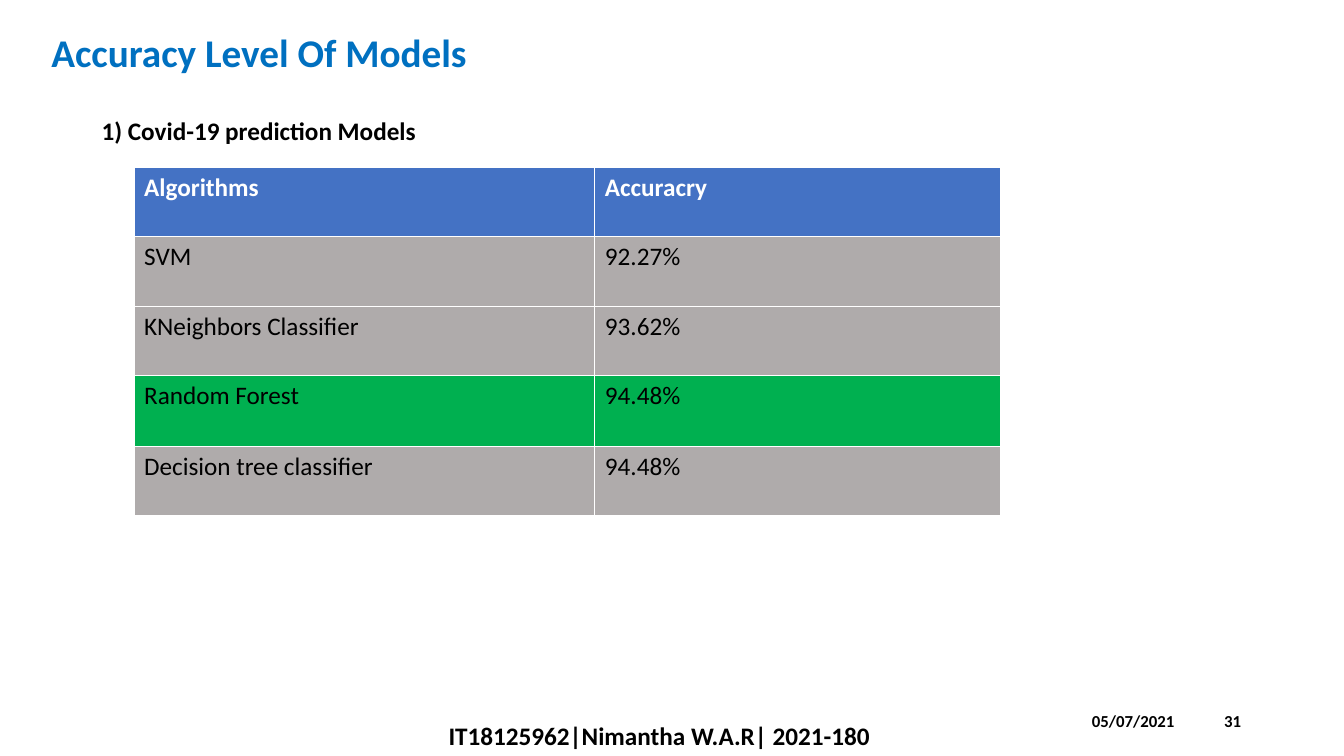
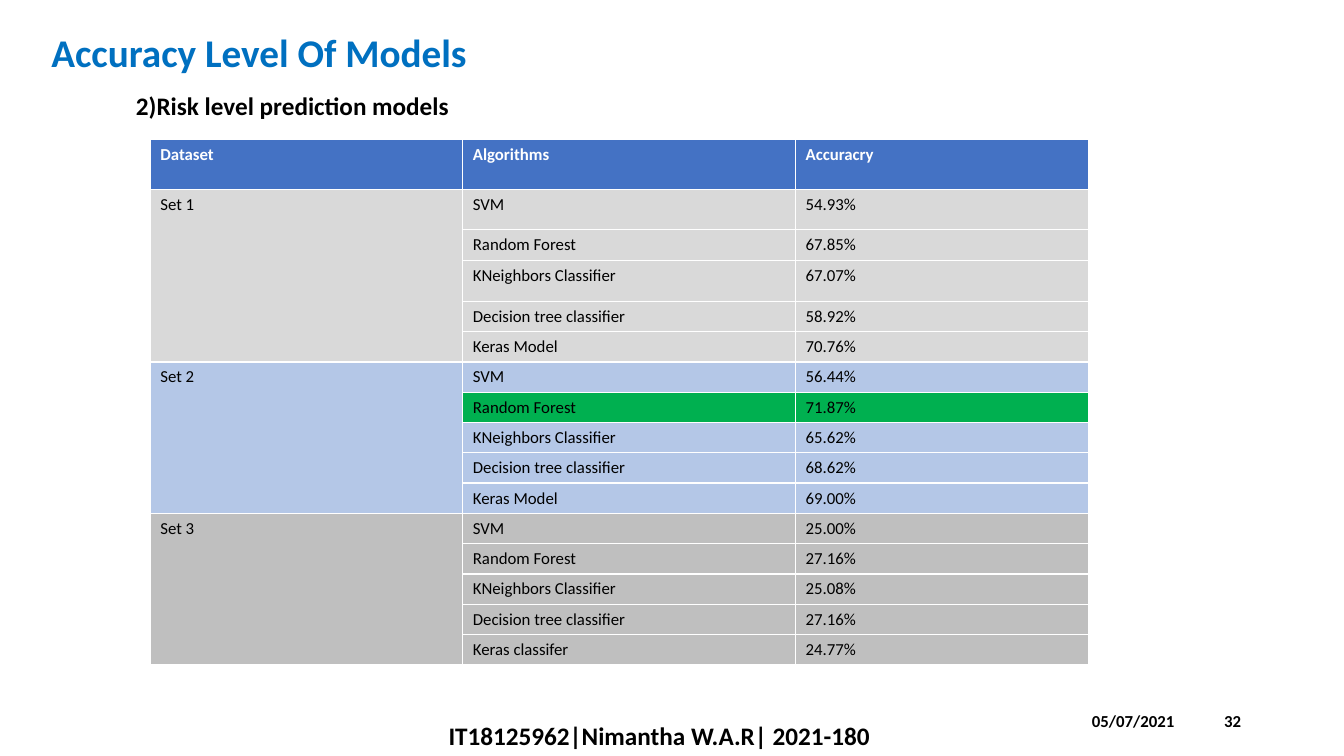
from dataclasses import dataclass

from lxml.etree import SubElement
from pptx import Presentation
from pptx.dml.color import RGBColor
from pptx.enum.text import MSO_ANCHOR, MSO_AUTO_SIZE, PP_ALIGN
from pptx.oxml.ns import qn
from pptx.util import Inches, Pt

# Shared colours and text formats
BLACK = RGBColor(0x00, 0x00, 0x00)
WHITE = RGBColor(0xFF, 0xFF, 0xFF)
TITLE = RGBColor(0x00, 0x70, 0xC0)
HEAD = RGBColor(0x44, 0x72, 0xC4)
BEST = RGBColor(0x00, 0xB0, 0x50)
STONE = RGBColor(0xAF, 0xAB, 0xAB)
PALE = RGBColor(0xD9, 0xD9, 0xD9)
SKY = RGBColor(0xB4, 0xC7, 0xE7)
GREY = RGBColor(0xBF, 0xBF, 0xBF)

HEADING = {"name": "Calibri", "size": Pt(28), "bold": True}
LABEL = {"name": "Calibri", "size": Pt(18), "bold": True}
SMALL = {"name": "Calibri", "size": Pt(12), "bold": True}


@dataclass
class Box:
    left: float
    top: float
    width: float
    height: float

    def place(self) -> tuple:
        return tuple(map(Inches, (self.left, self.top, self.width, self.height)))


@dataclass
class Group:
    """Rows that share a fill; a named group has a merged first cell."""
    name: str
    fill: RGBColor
    rows: list[tuple[str, str]]
    best: str = ""


@dataclass
class Page:
    number: int
    label: str
    label_box: Box
    grid_box: Box
    size: int
    cols: list[float]
    heights: list[float]
    heads: list[str]
    groups: list[Group]


PAGES = [
    Page(31, "1) Covid-19 prediction Models",
         Box(0.91, 1.09, 4.4, 0.4), Box(1.33, 1.66, 8.59, 3.47), 18,
         [4.57, 4.02], [0.69, 0.69, 0.69, 0.7, 0.69],
         ["Algorithms", "Accuracry"],
         [Group("", STONE, [("SVM", "92.27%"),
                            ("KNeighbors Classifier", "93.62%"),
                            ("Random Forest", "94.48%"),
                            ("Decision tree classifier", "94.48%")],
                "Random Forest")]),
    Page(32, "2)Risk level prediction models",
         Box(1.25, 0.85, 6.21, 0.4), Box(1.49, 1.38, 9.31, 5.2), 12,
         [3.1, 3.3, 2.91], [0.5, 0.4, 0.3, 0.41] + [0.3] * 12,
         ["Dataset", "Algorithms", "Accuracry"],
         [Group("Set 1", PALE, [("SVM", "54.93%"),
                                ("Random Forest", "67.85%"),
                                ("KNeighbors Classifier", "67.07%"),
                                ("Decision tree classifier", "58.92%"),
                                ("Keras Model", "70.76%")]),
          Group("Set 2", SKY, [("SVM", "56.44%"),
                               ("Random Forest", "71.87%"),
                               ("KNeighbors Classifier", "65.62%"),
                               ("Decision tree classifier", "68.62%"),
                               ("Keras Model", "69.00%")],
                "Random Forest"),
          Group("Set 3", GREY, [("SVM", "25.00%"),
                                ("Random Forest", "27.16%"),
                                ("KNeighbors Classifier", "25.08%"),
                                ("Decision tree classifier", "27.16%"),
                                ("Keras classifer", "24.77%")])]),
]


def style(font, form: dict, color: RGBColor) -> None:
    for key, value in form.items():
        setattr(font, key, value)
    font.color.rgb = color


def add_text(slide, box: Box, text: str, form: dict):
    frame = slide.shapes.add_textbox(*box.place()).text_frame
    frame.word_wrap = True
    frame.text = text
    style(frame.paragraphs[0].runs[0].font, form, BLACK)
    return frame


def add_title(slide, text: str) -> None:
    shape = slide.shapes.title
    shape.left, shape.top, shape.width, shape.height = Box(0.41, 0.16, 8.2, 0.77).place()
    frame = shape.text_frame
    frame.text = text
    frame.auto_size = MSO_AUTO_SIZE.NONE
    frame.vertical_anchor = MSO_ANCHOR.MIDDLE
    para = frame.paragraphs[0]
    form = {"alignment": PP_ALIGN.LEFT, "line_spacing": 0.9, "space_after": Pt(6)}
    for key, value in form.items():
        setattr(para, key, value)
    style(para.runs[0].font, HEADING, TITLE)


def add_footer(slide, number: int) -> None:
    # Date on the left, page number at a right tab
    frame = add_text(slide, Box(9.42, 6.95, 3, 0.4), f"05/07/2021\t{number}", SMALL)
    frame.margin_left = Inches(1.41)
    frame.vertical_anchor = MSO_ANCHOR.MIDDLE
    props = frame.paragraphs[0]._p.get_or_add_pPr()
    tabs = SubElement(props, qn("a:tabLst"))
    SubElement(tabs, qn("a:tab"), pos=str(Inches(1.48)), algn="r")
    add_text(slide, Box(4.35, 7.1, 5.41, 0.4), "IT18125962|Nimantha W.A.R| 2021-180", LABEL)


def fill_cell(cell, text: str, fill: RGBColor, size: int, head: bool = False) -> None:
    cell.fill.solid()
    cell.fill.fore_color.rgb = fill
    cell.text = text
    form = {"name": "Calibri", "size": Pt(size), "bold": head}
    style(cell.text_frame.paragraphs[0].font, form, WHITE if head else BLACK)


def add_grid(slide, page: Page) -> None:
    shape = slide.shapes.add_table(len(page.heights), len(page.cols), *page.grid_box.place())
    table = shape.table
    table.horz_banding = False
    for col, width in zip(table.columns, page.cols):
        col.width = Inches(width)
    for row, height in zip(table.rows, page.heights):
        row.height = Inches(height)
    for col, text in enumerate(page.heads):
        fill_cell(table.cell(0, col), text, HEAD, page.size, head=True)

    # Body rows, group by group
    top = 1
    for group in page.groups:
        end = top + len(group.rows)
        first = 1 if group.name else 0
        if group.name:
            table.cell(top, 0).merge(table.cell(end - 1, 0))
            fill_cell(table.cell(top, 0), group.name, group.fill, page.size)
        for row, texts in enumerate(group.rows, top):
            fill = BEST if texts[0] == group.best else group.fill
            for col, text in enumerate(texts, first):
                fill_cell(table.cell(row, col), text, fill, page.size)
        top = end


def main() -> None:
    deck = Presentation()
    deck.slide_width, deck.slide_height = Inches(13.33), Inches(7.5)
    for page in PAGES:
        slide = deck.slides.add_slide(deck.slide_layouts[5])
        add_title(slide, "Accuracy Level Of Models")
        add_footer(slide, page.number)
        add_grid(slide, page)
        add_text(slide, page.label_box, page.label, LABEL)
    deck.save("out.pptx")


if __name__ == "__main__":
    main()
